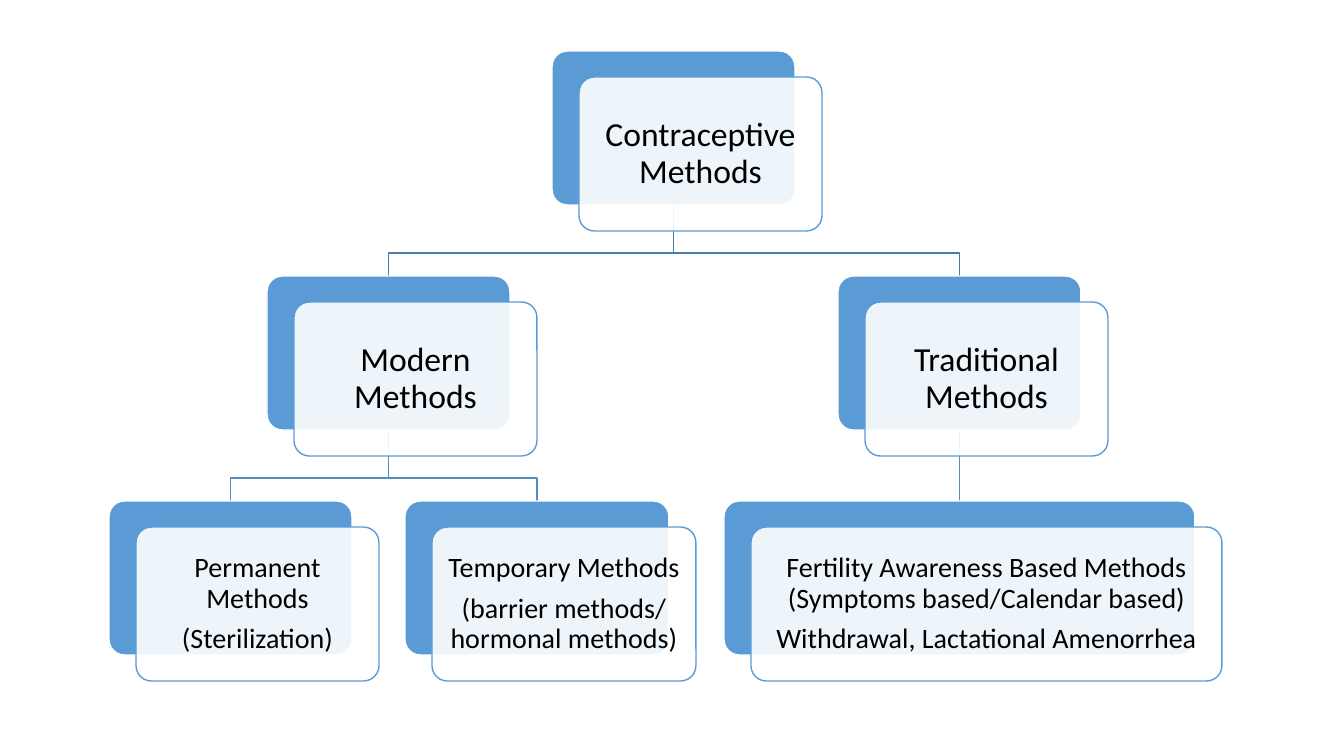
"""Build a one-slide hierarchy chart of contraceptive methods."""
from dataclasses import dataclass

from lxml import etree
from pptx import Presentation
from pptx.dml.color import RGBColor
from pptx.enum.shapes import MSO_CONNECTOR, MSO_SHAPE
from pptx.enum.text import MSO_ANCHOR, PP_ALIGN
from pptx.oxml.ns import qn
from pptx.util import Emu, Pt

ROUNDED = MSO_SHAPE.ROUNDED_RECTANGLE
STRAIGHT = MSO_CONNECTOR.STRAIGHT
MIDDLE = MSO_ANCHOR.MIDDLE
CENTER = PP_ALIGN.CENTER

CARDS = {
    "root": dict(level=0, left=552, width=243, lines=["Contraceptive Methods"]),
    "modern": dict(level=1, left=267, width=243, lines=["Modern Methods"]),
    "permanent": dict(level=2, left=109, width=243,
                      lines=["Permanent Methods", "(Sterilization)"]),
    "temporary": dict(level=2, left=405, width=264,
                      lines=["Temporary Methods", "(barrier methods/ hormonal methods)"]),
    "traditional": dict(level=1, left=838, width=243, lines=["Traditional Methods"]),
    "fertility": dict(level=2, left=724, width=471,
                      lines=["Fertility Awareness Based Methods (Symptoms based/Calendar based)",
                             "Withdrawal, Lactational Amenorrhea"]),
}
LINKS = [("traditional", "fertility"), ("root", "traditional"), ("modern", "temporary"),
         ("modern", "permanent"), ("root", "modern")]

SLIDE_WIDTH, SLIDE_HEIGHT = 1344, 756
FIRST_TOP, LEVEL_PITCH, CARD_HEIGHT = 51, 225, 154
FRONT_SHIFT_X, FRONT_SHIFT_Y = 27, 26
ELBOW_GAP = 23


@dataclass(frozen=True)
class Theme:
    """Colours, type sizes and insets of the chart."""
    font: str = "Calibri"
    accent: RGBColor = RGBColor(0x5B, 0x9B, 0xD5)
    white: RGBColor = RGBColor(0xFF, 0xFF, 0xFF)
    text: RGBColor = RGBColor(0, 0, 0)
    links: tuple = (RGBColor(0x49, 0x7C, 0xAB), RGBColor(0x53, 0x8D, 0xC1))
    sizes: tuple = (24, 24, 20)
    insets: tuple = (10, 10, 8)
    front_alpha: int = 90
    corner: float = 0.1
    space_after: float = 0.35


THEME = Theme()


def px(length):
    """Turn px into EMU."""
    return Emu(round(length * 914400 / 100.8))


def assign(target, values):
    """Set each attribute of target from a dict."""
    for name, value in values.items():
        setattr(target, name, value)


def card_top(card):
    """Return the top of a card's level."""
    return FIRST_TOP + card["level"] * LEVEL_PITCH


def card_center(card):
    """Return the horizontal centre of a card."""
    return card["left"] + card["width"] / 2


def style_line(line, color):
    """Give a line its colour and width."""
    line.color.rgb = color
    line.width = Pt(1)


def add_link(page, parent, child):
    """Join a parent card to a child card."""
    start_x, end_x = card_center(parent), card_center(child)
    start_y, end_y = card_top(parent) + CARD_HEIGHT, card_top(child)
    color = THEME.links[parent["level"]]
    if start_x == end_x:
        link = page.shapes.add_connector(STRAIGHT, px(start_x), px(start_y), px(end_x), px(end_y))
        style_line(link.line, color)
        etree.SubElement(link._element.spPr, qn("a:effectLst"))
        return
    elbow_y = end_y - ELBOW_GAP
    builder = page.shapes.build_freeform(px(start_x), px(start_y))
    corners = [(start_x, elbow_y), (end_x, elbow_y), (end_x, end_y)]
    builder.add_line_segments([(px(x), px(y)) for x, y in corners], close=False)
    link = builder.convert_to_shape()
    link.fill.background()
    link.shadow.inherit = False
    style_line(link.line, color)


def add_panel(page, left, top, width, fill, outline):
    """Add one rounded panel."""
    panel = page.shapes.add_shape(ROUNDED, px(left), px(top), px(width), px(CARD_HEIGHT))
    panel.adjustments[0] = THEME.corner
    panel.shadow.inherit = False
    panel.fill.solid()
    panel.fill.fore_color.rgb = fill
    style_line(panel.line, outline)
    return panel


def add_card(page, card):
    """Add a back panel and a translucent front panel with text."""
    left, top, width = card["left"], card_top(card), card["width"]
    add_panel(page, left, top, width, THEME.accent, THEME.white)
    front = add_panel(page, left + FRONT_SHIFT_X, top + FRONT_SHIFT_Y, width,
                      THEME.white, THEME.accent)
    tint = front._element.spPr.find(qn("a:solidFill"))[0]
    etree.SubElement(tint, qn("a:alpha"), val=str(THEME.front_alpha * 1000))

    size, inset = THEME.sizes[card["level"]], px(THEME.insets[card["level"]])
    frame = front.text_frame
    assign(frame, dict(word_wrap=True, vertical_anchor=MIDDLE, margin_left=inset,
                       margin_right=inset, margin_top=inset, margin_bottom=inset))
    for index, line in enumerate(card["lines"]):
        para = frame.add_paragraph() if index else frame.paragraphs[0]
        assign(para, dict(alignment=CENTER, line_spacing=0.9,
                          space_after=Pt(size * THEME.space_after)))
        span = para.add_run()
        span.text = line
        assign(span.font, dict(name=THEME.font, size=Pt(size)))
        span.font.color.rgb = THEME.text


def main():
    """Build and save the deck."""
    deck = Presentation()
    assign(deck, dict(slide_width=px(SLIDE_WIDTH), slide_height=px(SLIDE_HEIGHT)))
    page = deck.slides.add_slide(deck.slide_layouts[6])
    for parent, child in LINKS:
        add_link(page, CARDS[parent], CARDS[child])
    for card in CARDS.values():
        add_card(page, card)
    deck.save("out.pptx")


if __name__ == "__main__":
    main()
